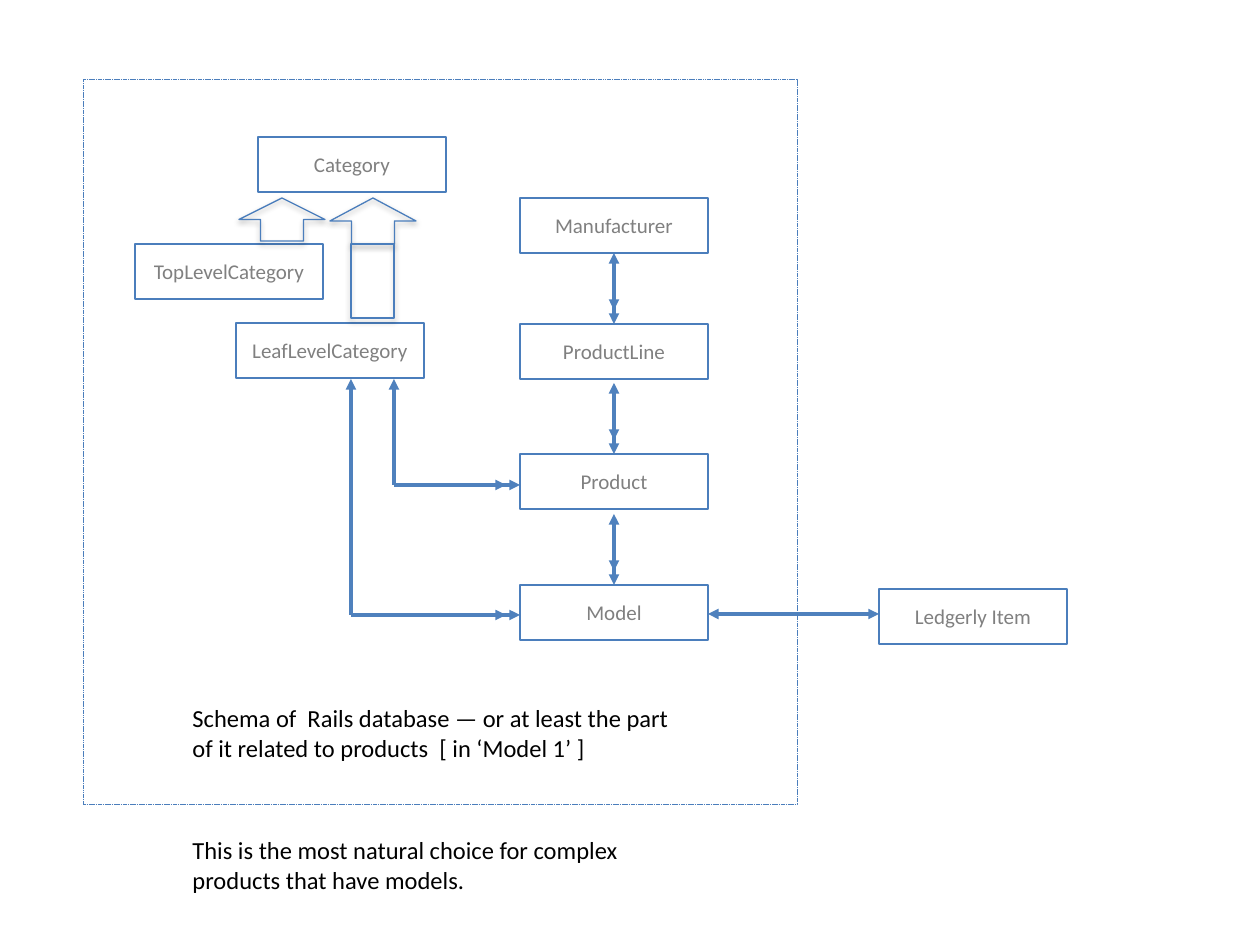
from lxml import etree
from pptx import Presentation
from pptx.dml.color import RGBColor
from pptx.enum.dml import MSO_LINE
from pptx.enum.shapes import MSO_CONNECTOR, MSO_SHAPE
from pptx.enum.text import MSO_ANCHOR, MSO_AUTO_SIZE, PP_ALIGN
from pptx.oxml.ns import qn
from pptx.util import Emu, Pt

PX = 914400 / 126
BORDER = RGBColor(0x4B, 0x7E, 0xBC)
ARROW = RGBColor(0x4F, 0x81, 0xBD)
GRAY = RGBColor(0x80, 0x80, 0x80)
BLACK = RGBColor(0x00, 0x00, 0x00)
RECTANGLE = MSO_SHAPE.RECTANGLE
UP_ARROW = MSO_SHAPE.UP_ARROW
STRAIGHT = MSO_CONNECTOR.STRAIGHT
DASH = MSO_LINE.SQUARE_DOT
LEFT, CENTER = PP_ALIGN.LEFT, PP_ALIGN.CENTER
MIDDLE = MSO_ANCHOR.MIDDLE
GROW = MSO_AUTO_SIZE.SHAPE_TO_FIT_TEXT

BOX_WIDTH, BOX_HEIGHT = 188, 55
CHAIN_LEFT, CHAIN_X = 520, 614
CHAIN = [("Manufacturer", 198), ("ProductLine", 324), ("Product", 454), ("Model", 585)]
CATEGORIES = [
    ("Category", 258, 137),
    ("TopLevelCategory", 135, 244),
    ("LeafLevelCategory", 236, 323),
]
INHERITANCE = [
    (UP_ARROW, 239, 198, 86, 43),
    (UP_ARROW, 330, 198, 86, 46),
    (RECTANGLE, 351, 244, 43, 74),
]
NOTES = [
    ("Schema of  Rails database — or at least the part of it related to products  [ in ‘Model 1’ ]", 697, 512),
    ("This is the most natural choice for complex products that have models.", 829, 486),
]


def px(*lengths):
    """Turn whole pixels into EMU lengths."""
    return [Emu(round(length * PX)) for length in lengths]


def write(shape, text, size=12, color=GRAY, align=CENTER):
    """Put one formatted paragraph into a shape."""
    shape.text_frame.word_wrap = True
    para = shape.text_frame.paragraphs[0]
    para.alignment = align
    span = para.add_run()
    span.text = text
    span.font.name = "Calibri"
    span.font.size = Pt(size)
    span.font.color.rgb = color


def add_outline(page, kind, *place, weight=0.75):
    """Add an unfilled shape with a thin border and no shadow."""
    shape = page.shapes.add_shape(kind, *px(*place))
    shape.shadow.inherit = False
    shape.fill.background()
    shape.line.color.rgb = BORDER
    shape.line.width = Pt(weight)
    return shape


def add_entity(page, name, left, top):
    """Add a labelled entity box."""
    box = add_outline(page, RECTANGLE, left, top, BOX_WIDTH, BOX_HEIGHT)
    box.text_frame.vertical_anchor = MIDDLE
    write(box, name)


def add_shadow(shape):
    """Give a shape a soft shadow that falls straight down."""
    effects = shape._element.spPr.find(qn("a:effectLst"))
    shadow = etree.SubElement(effects, qn("a:outerShdw"), blurRad="40000",
                              dist="23000", dir="5400000", rotWithShape="0")
    color = etree.SubElement(shadow, qn("a:srgbClr"), val="000000")
    etree.SubElement(color, qn("a:alpha"), val="35000")


def add_link(page, start, end, head=False, tail=False):
    """Add a straight line with optional arrowheads at its start and end."""
    link = page.shapes.add_connector(STRAIGHT, *px(*start, *end))
    link.line.color.rgb = ARROW
    link.line.width = Pt(2)
    line = link.line._get_or_add_ln()
    for tag, wanted in (("a:headEnd", head), ("a:tailEnd", tail)):
        if wanted:
            etree.SubElement(line, qn(tag), type="triangle")
    etree.SubElement(link._element.spPr, qn("a:effectLst"))


def add_many_link(page, start, end, head=False):
    """Add a link whose far end carries a doubled arrowhead."""
    add_link(page, start, end, head=head, tail=True)
    across, down = int(end[0] > start[0]), int(end[1] > start[1])
    inner_start, inner_end = [
        (end[0] - gap * across, end[1] - gap * down) for gap in (57, 14)
    ]
    add_link(page, inner_start, inner_end, tail=True)


def add_note(page, text, top, width):
    """Add a black text note."""
    note = page.shapes.add_textbox(*px(180, top, width, 72))
    write(note, text, size=14, color=BLACK, align=LEFT)
    note.text_frame.auto_size = GROW


def main():
    """Build the schema slide."""
    deck = Presentation()
    deck.slide_width, deck.slide_height = px(1260, 945)
    page = deck.slides.add_slide(deck.slide_layouts[6])

    for name, top in CHAIN:
        add_entity(page, name, CHAIN_LEFT, top)
    for name, left, top in CATEGORIES:
        add_entity(page, name, left, top)
    for kind, *place in INHERITANCE:
        add_shadow(add_outline(page, kind, *place))

    for _, top in CHAIN[1:]:
        add_many_link(page, (CHAIN_X, top - 71), (CHAIN_X, top), head=True)
    for left, bottom in ((351, 615), (394, 485)):
        add_link(page, (left, 379), (left, bottom), head=True)
        add_many_link(page, (left, bottom), (CHAIN_LEFT, bottom))
    add_link(page, (708, 614), (879, 614), head=True, tail=True)

    add_entity(page, "Ledgerly Item", 879, 589)
    frame = add_outline(page, RECTANGLE, 83, 79, 714, 725, weight=0.25)
    frame.line.dash_style = DASH
    for text, top, width in NOTES:
        add_note(page, text, top, width)
    deck.save("out.pptx")


if __name__ == "__main__":
    main()
